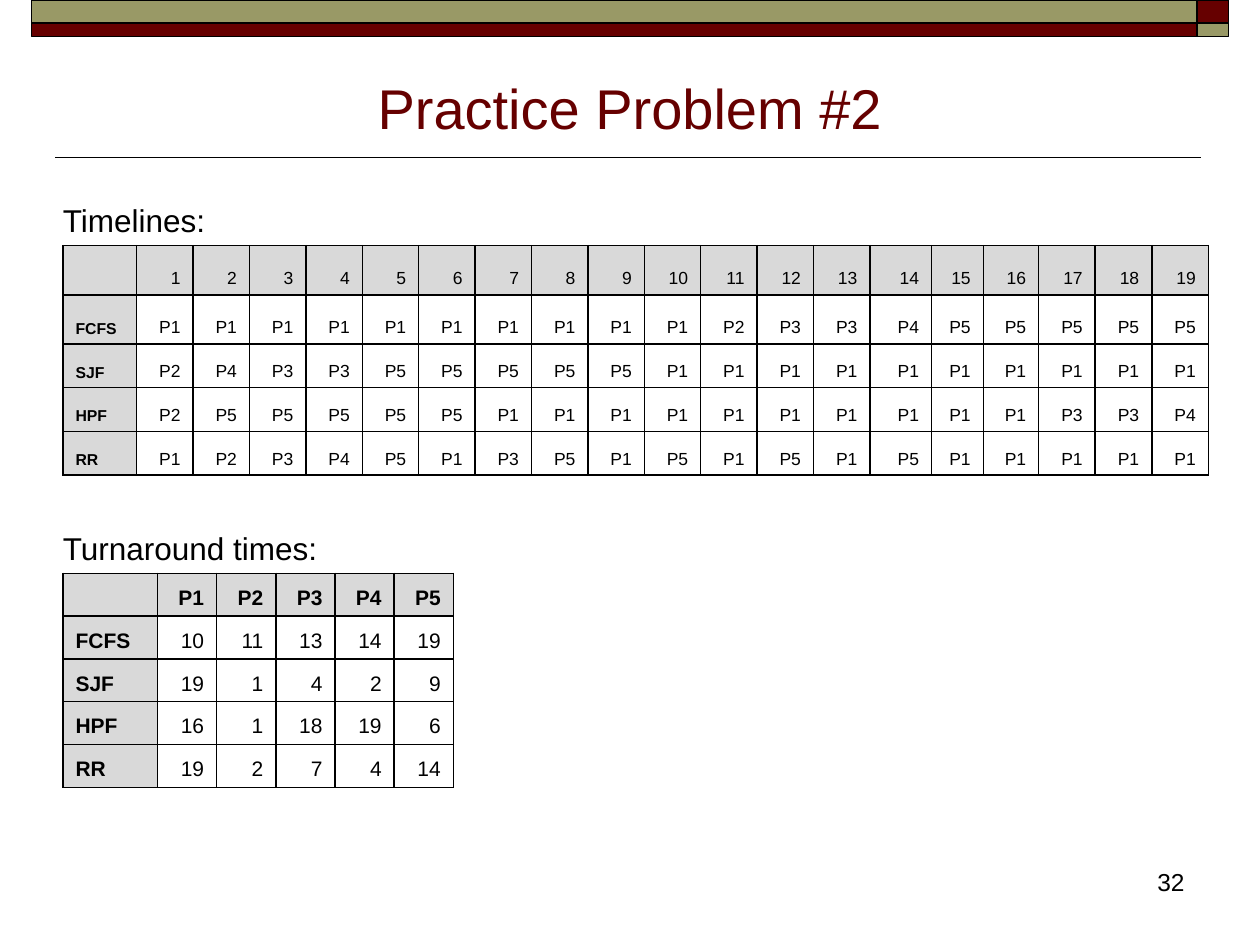
from lxml import etree
from pptx import Presentation
from pptx import util as u
from pptx.dml.color import RGBColor
from pptx.enum import shapes, text
from pptx.oxml.ns import qn

COLS, ROWS = 200, 150
BLACK, MAROON, OLIVE, GREY = "000000", "660000", "999966", "D9D9D9"
LEFT, CENTER, RIGHT = text.PP_ALIGN.LEFT, text.PP_ALIGN.CENTER, text.PP_ALIGN.RIGHT
TOP, BOTTOM = text.MSO_ANCHOR.TOP, text.MSO_ANCHOR.BOTTOM


def rgb(value):
    return RGBColor.from_string(value)


class Deck:
    """Slide style and drawing methods on a grid of 200 columns by 150 rows."""

    font = "Arial"
    line_pt = 1

    def __init__(self, width, height):
        self.prs = Presentation()
        self.prs.slide_width, self.prs.slide_height = u.Inches(width), u.Inches(height)
        self.col, self.row = self.prs.slide_width / COLS, self.prs.slide_height / ROWS
        self.s = self.prs.slides.add_slide(self.prs.slide_layouts[5])

    def box(self, x, y, w, h):
        return [round(v) for v in (x * self.col, y * self.row, w * self.col, h * self.row)]

    def add_run(self, p, words, size, color=BLACK, align=LEFT, bold=False):
        p.alignment = align
        r = p.add_run()
        r.text = words
        r.font.name, r.font.size, r.font.bold = self.font, u.Pt(size), bold
        r.font.color.rgb = rgb(color)

    def title(self, words, box, size, color):
        sp = self.s.shapes.title
        sp.left, sp.top, sp.width, sp.height = self.box(*box)
        tf = sp.text_frame
        tf.word_wrap, tf.vertical_anchor = True, BOTTOM
        self.add_run(tf.paragraphs[0], words, size, color, CENTER)

    def text(self, words, box, size, align=LEFT, wrap=True):
        tf = self.s.shapes.add_textbox(*self.box(*box)).text_frame
        tf.word_wrap, tf.vertical_anchor = wrap, TOP
        self.add_run(tf.paragraphs[0], words, size, align=align)

    def rect(self, box, fill):
        sp = self.s.shapes.add_shape(shapes.MSO_SHAPE.RECTANGLE, *self.box(*box))
        sp.shadow.inherit = False
        sp.fill.solid()
        sp.fill.fore_color.rgb = rgb(fill)
        sp.line.color.rgb, sp.line.width = rgb(BLACK), u.Pt(self.line_pt)

    def rule(self, x1, x2, y):
        left, top, right, _ = self.box(x1, y, x2, 0)
        sp = self.s.shapes.add_connector(shapes.MSO_CONNECTOR.STRAIGHT, left, top, right, top)
        sp.line.color.rgb, sp.line.width = rgb(BLACK), u.Pt(self.line_pt)
        etree.SubElement(sp._element.spPr, qn("a:effectLst"))

    def border(self, cell):
        tcPr = cell._tc.get_or_add_tcPr()
        for side in ("lnL", "lnR", "lnT", "lnB"):
            ln = etree.SubElement(tcPr, qn("a:" + side), w=str(u.Pt(self.line_pt)))
            fill = etree.SubElement(ln, qn("a:solidFill"))
            etree.SubElement(fill, qn("a:srgbClr"), val=BLACK)

    def table(self, data, x, y, widths, heights, size, side_size, bold_head):
        box = self.box(x, y, sum(widths), sum(heights))
        tbl = self.s.shapes.add_table(len(data), len(widths), *box).table
        tbl.first_row = tbl.horz_banding = False
        for column, width in zip(tbl.columns, widths):
            column.width = round(width * self.col)
        for row, height in zip(tbl.rows, heights):
            row.height = round(height * self.row)
        for i, values in enumerate(data):
            for j, value in enumerate(values):
                cell = tbl.cell(i, j)
                self.border(cell)
                if i == 0 or j == 0:
                    cell.fill.solid()
                    cell.fill.fore_color.rgb = rgb(GREY)
                else:
                    cell.fill.background()
                cell.vertical_anchor = BOTTOM
                p = cell.text_frame.paragraphs[0]
                if value:
                    self.add_run(p, str(value), size if j else side_size,
                                 align=RIGHT if j else LEFT,
                                 bold=j == 0 or (i == 0 and bold_head))
                else:
                    p._p.get_or_add_endParaRPr().set("sz", str(size * 100))


def main():
    timelines = {
        "FCFS": "1111111111233455555",
        "SJF": "2433555551111111111",
        "HPF": "2555551111111111334",
        "RR": "1234513515151511111",
    }
    turnaround = [
        ["", "P1", "P2", "P3", "P4", "P5"],
        ["FCFS", 10, 11, 13, 14, 19],
        ["SJF", 19, 1, 4, 2, 9],
        ["HPF", 16, 1, 18, 19, 6],
        ["RR", 19, 2, 7, 4, 14],
    ]
    schedule = [["", *range(1, 20)]]
    schedule += [[name, *("P" + n for n in order)] for name, order in timelines.items()]

    d = Deck(10, 7.5)
    d.rule(8.8, 190.6, 25)
    for y, h, bar, corner in ((0, 3.6, OLIVE, MAROON), (3.6, 2.2, MAROON, OLIVE)):
        d.rect((5, y, 185, h), bar)
        d.rect((190, y, 5, h), corner)
    d.title("Practice Problem #2", (10, 9, 180, 14.4), 32, MAROON)
    d.text("32", (148.4, 136.6, 41.6, 10), 14, align=RIGHT)
    d.table(schedule, 10, 39, [11.7] + [8.96] * 13 + [9.8, 8.2, 8.8] + [8.98] * 3,
            [7.8] * 2 + [6.95] * 3, 10, 9, False)
    d.table(turnaround, 10, 91, [15] + [9.4] * 5, [6.8] * 5, 12, 12, True)
    d.text("Timelines:", (8, 31, 26.8, 8), 18, wrap=False)
    d.text("Turnaround times:", (8, 83, 44.6, 8), 18, wrap=False)
    d.prs.save("out.pptx")


if __name__ == "__main__":
    main()
